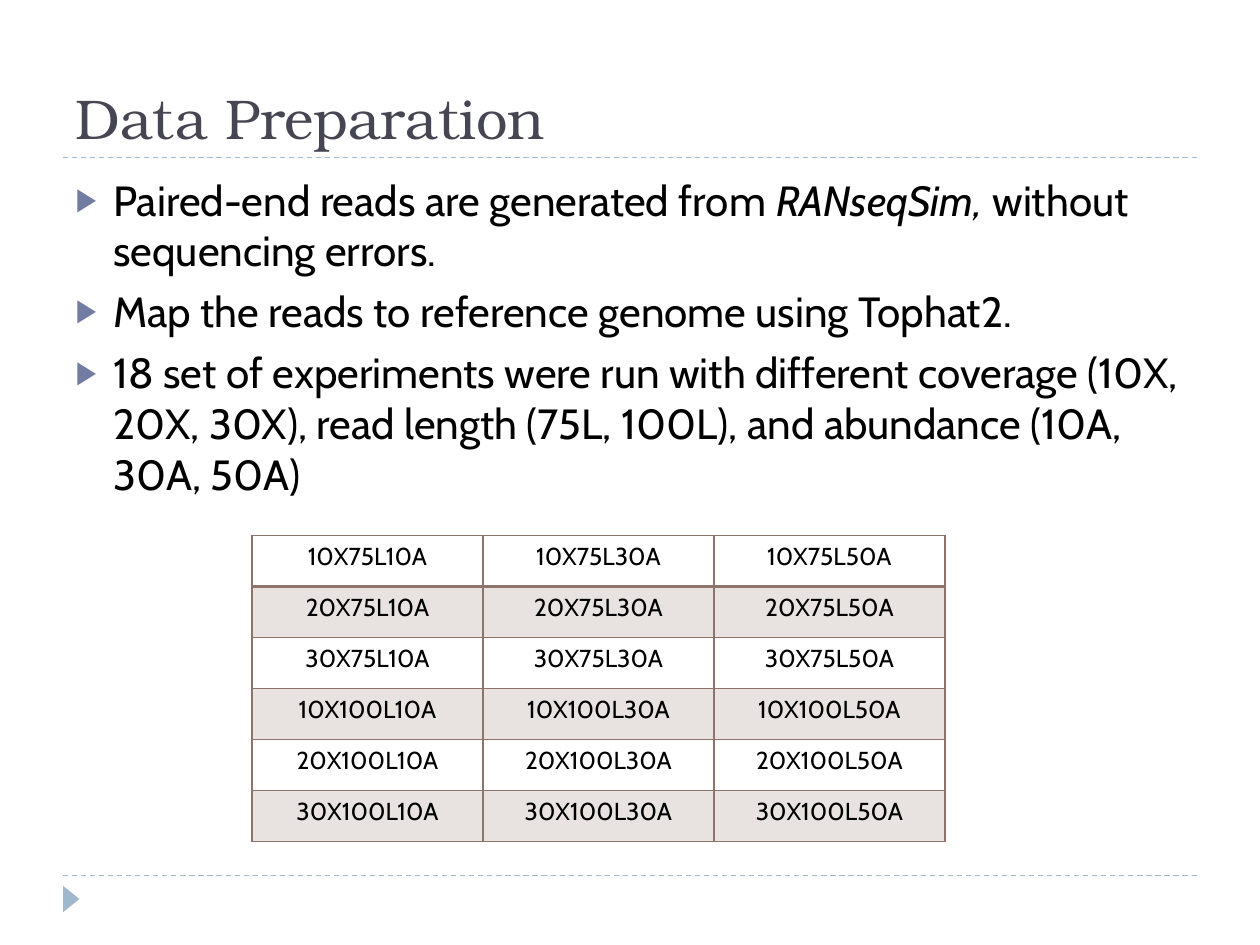
from itertools import product

from lxml import etree
from pptx import Presentation
from pptx import util as u
from pptx.dml.color import RGBColor
from pptx.enum import dml, shapes, text
from pptx.oxml.ns import qn

COLORS = {"title": "464653", "body": "000000", "bullet": "727CA3",
          "rule": "9FB8CD", "grid": "8E736A"}
BULLETS = [
    [("Paired-end reads are generated from ", False), ("RANseqSim, ", True),
     ("without sequencing errors.", False)],
    [("Map the reads to reference genome using Tophat2.", False)],
    [("18 set of experiments were run with different coverage (10X, 20X, 30X), "
      "read length (75L, 100L), and abundance (10A, 30A, 50A)", False)],
]
COVERAGES = ["10X", "20X", "30X"]
READ_LENGTHS = ["75L", "100L"]
ABUNDANCES = ["10A", "30A", "50A"]


def add_xml(parent, tag, **attributes):
    return etree.SubElement(parent, qn(tag), attributes)


class Deck:
    """Holds the style and the current slide, and draws each kind of element."""

    title_font = "TeX Gyre Bonum"
    body_font = "Cabin"

    def __init__(self, width, height):
        self.presentation = Presentation()
        self.presentation.slide_width = u.Inches(width)
        self.presentation.slide_height = u.Inches(height)
        self.width, self.height = u.Inches(width), u.Inches(height)
        self.slide = self.presentation.slides.add_slide(self.presentation.slide_layouts[1])

    def box(self, left, top, width, height):
        return (round(left * self.width), round(top * self.height),
                round(width * self.width), round(height * self.height))

    def color(self, name):
        return RGBColor.from_string(COLORS[name])

    def set_font(self, paragraph, name, size, color):
        paragraph.font.name = name
        paragraph.font.size = u.Pt(size)
        paragraph.font.color.rgb = self.color(color)

    def place(self, holder, box, anchor):
        holder.left, holder.top, holder.width, holder.height = self.box(*box)
        frame = holder.text_frame
        frame.word_wrap = True
        frame.auto_size = text.MSO_AUTO_SIZE.NONE
        frame.vertical_anchor = anchor
        return frame

    def title(self, wording, box):
        frame = self.place(self.slide.shapes.title, box, text.MSO_ANCHOR.BOTTOM)
        frame.text = wording
        heading = frame.paragraphs[0]
        heading.alignment = text.PP_ALIGN.LEFT
        self.set_font(heading, self.title_font, 32, "title")

    def bullets(self, items, box):
        frame = self.place(self.slide.placeholders[1], box, text.MSO_ANCHOR.TOP)
        for index, item in enumerate(items):
            point = frame.add_paragraph() if index else frame.paragraphs[0]
            point.space_before = u.Pt(6)
            properties = point._p.get_or_add_pPr()
            properties.set("marL", str(u.Inches(0.3)))
            properties.set("indent", str(-u.Inches(0.3)))
            add_xml(add_xml(properties, "a:buClr"), "a:srgbClr", val=COLORS["bullet"])
            add_xml(properties, "a:buSzPct", val="76000")
            add_xml(properties, "a:buChar", char="▶")
            self.set_font(point, self.body_font, 24.1, "body")
            for wording, italic in item:
                run = point.add_run()
                run.text = wording
                if italic:
                    run.font.italic = True

    def rule(self, left, right, top):
        x, y, length, _ = self.box(left, top, right - left, 0)
        line = self.slide.shapes.add_connector(
            shapes.MSO_CONNECTOR.STRAIGHT, x, y, x + length, y)
        line.line.color.rgb = self.color("rule")
        line.line.width = u.Pt(0.75)
        line.line.dash_style = dml.MSO_LINE.DASH
        add_xml(line._element.spPr, "a:effectLst")

    def marker(self, box):
        arrow = self.slide.shapes.add_shape(
            shapes.MSO_SHAPE.ISOSCELES_TRIANGLE, *self.box(*box))
        arrow.rotation = 90
        arrow.shadow.inherit = False
        arrow.fill.solid()
        arrow.fill.fore_color.rgb = self.color("rule")
        arrow.line.fill.background()

    def border(self, cell, side, points):
        line = add_xml(cell._tc.get_or_add_tcPr(), f"a:{side}", w=str(u.Pt(points)))
        add_xml(add_xml(line, "a:solidFill"), "a:srgbClr", val=COLORS["grid"])

    def table(self, rows, box):
        grid = self.slide.shapes.add_table(len(rows), len(rows[0]), *self.box(*box)).table
        grid.first_row = grid.horz_banding = False
        for r, row in enumerate(rows):
            for c, label in enumerate(row):
                cell = grid.cell(r, c)
                cell.text = label
                entry = cell.text_frame.paragraphs[0]
                entry.alignment = text.PP_ALIGN.CENTER
                self.set_font(entry, self.body_font, 14, "body")
                for side in ("lnL", "lnR", "lnT", "lnB"):
                    heavy = (r, side) in ((0, "lnB"), (1, "lnT"))
                    self.border(cell, side, 2 if heavy else 1)
                if r % 2:
                    cell.fill.solid()
                    cell.fill.fore_color.rgb = self.color("grid")
                    tint = cell._tc.tcPr.find(qn("a:solidFill")).find(qn("a:srgbClr"))
                    add_xml(tint, "a:alpha", val="20000")
                else:
                    cell.fill.background()


def main():
    deck = Deck(10, 7.5)
    for top in (6.95, 1.25):
        deck.rule(0.05, 0.95, top / 7.5)
    deck.marker((0.046, 7.07 / 7.5, 0.021, 0.13 / 7.5))
    deck.title("Data Preparation", (0.05, 0.17 / 7.5, 0.9, 1.08 / 7.5))
    deck.bullets(BULLETS, (0.05, 1.33 / 7.5, 0.9, 2.58 / 7.5))
    experiments = [[coverage + length + abundance for abundance in ABUNDANCES]
                   for length, coverage in product(READ_LENGTHS, COVERAGES)]
    deck.table(experiments, (0.2, 4.25 / 7.5, 0.55, 2.43 / 7.5))
    deck.presentation.save("out.pptx")


if __name__ == "__main__":
    main()
